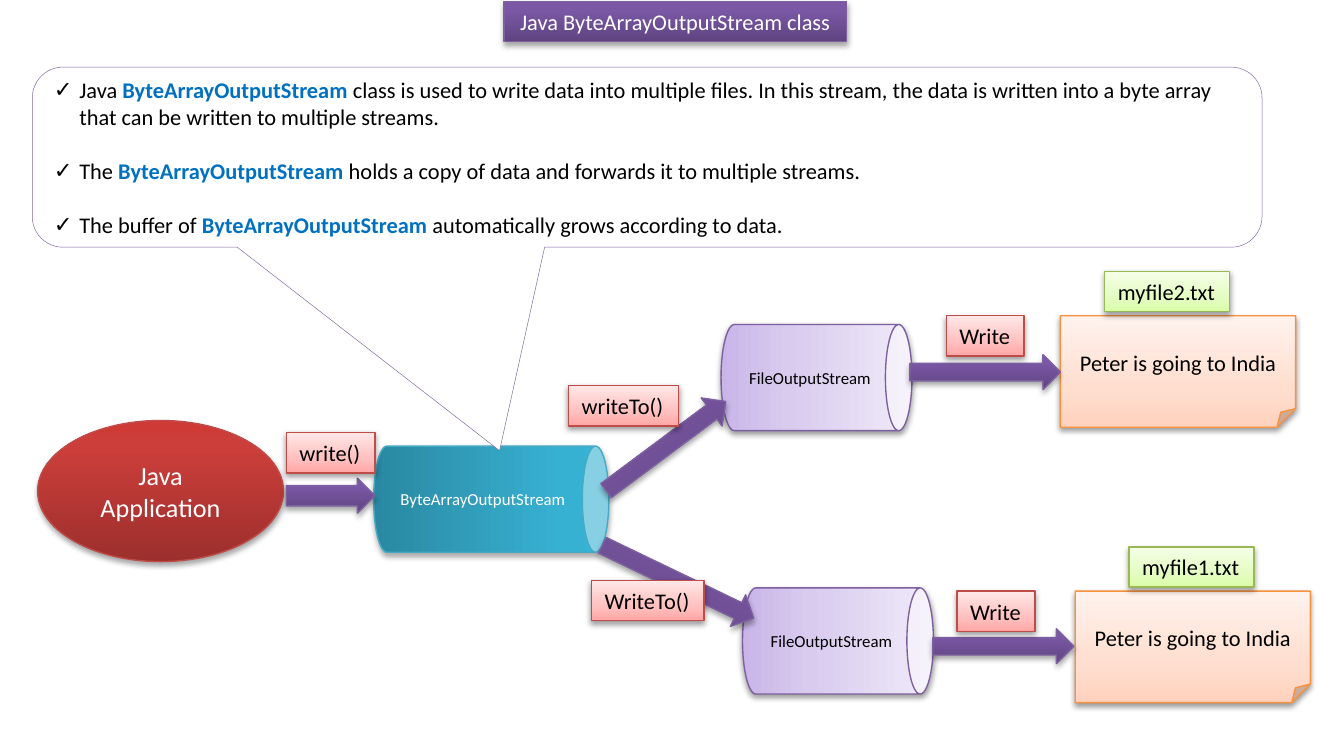
"""Builds a slide on how Java ByteArrayOutputStream feeds several files."""
from copy import deepcopy

from lxml import etree
from pptx import Presentation
from pptx.dml.color import RGBColor
from pptx.enum.shapes import MSO_SHAPE
from pptx.enum.text import MSO_ANCHOR, MSO_AUTO_SIZE, PP_ALIGN
from pptx.oxml.ns import qn
from pptx.util import Pt

PX = 9144
FONT = "Calibri"
LEFT, CENTER = PP_ALIGN.LEFT, PP_ALIGN.CENTER
MIDDLE = MSO_ANCHOR.MIDDLE
FIXED = MSO_AUTO_SIZE.NONE
RECT, ELLIPSE, CAN = MSO_SHAPE.RECTANGLE, MSO_SHAPE.OVAL, MSO_SHAPE.CAN
ARROW, NOTE = MSO_SHAPE.RIGHT_ARROW, MSO_SHAPE.FOLDED_CORNER
CALLOUT = MSO_SHAPE.ROUNDED_RECTANGULAR_CALLOUT

COLORS = {
    "white": "FFFFFF", "black": "000000", "keyword": "0070C0", "callout line": "8064A2",
    "purple 1": "5F4480", "purple 2": "7B58A6", "purple 3": "7C57A8", "purple line": "7D60A0",
    "red 1": "9C2F2D", "red 2": "CB3E3A", "red 3": "CE3B37", "red line": "BF4C48",
    "teal 1": "2A88A2", "teal 2": "37B1D2", "teal 3": "34B4D6", "teal line": "46AAC5",
    "peach 1": "FFD2BD", "peach 2": "FFDED0", "peach 3": "FFF2ED", "peach line": "F69240",
    "lime 1": "DAFDA7", "lime 2": "E4FCC2", "lime 3": "F5FFE7", "lime line": "98B955",
    "pink 1": "FFA6A5", "pink 2": "FFC0BF", "pink 3": "FFE7E7", "pink line": "BF4C48",
    "lilac 1": "C9B5E8", "lilac 2": "D8CBEE", "lilac 3": "F0EAF9", "lilac line": "7D60A0",
}
INTENSE = ("purple", "red", "teal")

KEYWORD = "ByteArrayOutputStream"
FACTS = [
    ("Java ", " class is used to write data into multiple files. In this stream, "
              "the data is written into a byte array that can be written to multiple streams."),
    ("The ", " holds a copy of data and forwards it to multiple streams."),
    ("The buffer of ", " automatically grows according to data."),
]
BRANCHES = [
    {"stream": (584, 406), "flow": (694, 468, 105), "write": (712, 440),
     "note": (800, 440), "file": (840, 407), "name": "myfile1.txt"},
    {"stream": (568, 210), "flow": (677, 264, 112), "write": (704, 235),
     "note": (789, 235), "file": (822, 202), "name": "myfile2.txt"},
]


def rgb(name):
    return RGBColor.from_string(COLORS[name])


def write(paragraph, text, size=12, color="black", bold=False, align=LEFT):
    paragraph.alignment = align
    run = paragraph.add_run()
    run.text = text
    run.font.name, run.font.size, run.font.bold = FONT, Pt(size), bold
    run.font.color.rgb = rgb(color)


class Diagram:
    """Holds the current slide and the shared look of its elements."""

    def __init__(self, slide):
        self.slide = slide

    def place(self, shape, box):
        shape.left, shape.top, shape.width, shape.height = (n * PX for n in box)

    def paint(self, shape, theme):
        intense = theme in INTENSE
        shape.fill.gradient()
        shape.fill.gradient_angle = 90
        stops = shape.element.spPr.find(".//" + qn("a:gsLst"))
        stops.insert(1, deepcopy(stops[0]))
        positions = (0, 0.8 if intense else 0.35, 1)
        for number, (stop, position) in enumerate(zip(shape.fill.gradient_stops, positions), 1):
            stop.color.rgb = rgb(f"{theme} {number}")
            stop.position = position
        shape.line.color.rgb = rgb(f"{theme} line")
        shape.line.width = Pt(0.75)
        shape.shadow.inherit = False
        effects = shape.element.spPr.find(qn("a:effectLst"))
        shadow = etree.SubElement(effects, qn("a:outerShdw"), blurRad="40000",
                                  dist="23000" if intense else "20000",
                                  dir="5400000", rotWithShape="0")
        tint = etree.SubElement(shadow, qn("a:srgbClr"), val=COLORS["black"])
        etree.SubElement(tint, qn("a:alpha"), val="35000" if intense else "38000")

    def shape(self, kind, box, theme, text="", turn=0, wrap=True, **style):
        shape = self.slide.shapes.add_shape(kind, *(n * PX for n in box))
        shape.rotation = turn
        self.paint(shape, theme)
        if text:
            shape.text_frame.word_wrap = wrap
            shape.text_frame.vertical_anchor = MIDDLE
            write(shape.text_frame.paragraphs[0], text, **style)
        return shape

    def title(self, text, box):
        heading = self.slide.shapes.title
        self.place(heading, box)
        self.paint(heading, "purple")
        heading.text_frame.auto_size = FIXED
        write(heading.text_frame.paragraphs[0], text, color="white", align=CENTER)

    def label(self, text, x, y, width, theme="pink"):
        self.shape(RECT, (x, y, width, 30), theme, text, wrap=False)

    def arrow(self, x, y, length, turn=0):
        return self.shape(ARROW, (x, y, length, 26), "purple", turn=turn)

    def cylinder(self, text, x, y, length, theme, color):
        can = self.shape(CAN, (x, y, 79, length), theme, text, turn=90,
                         size=9, color=color, align=CENTER)
        can.element.find(".//" + qn("a:bodyPr")).set("vert", "vert270")

    def callout(self, box):
        bubble = self.slide.shapes.add_shape(CALLOUT, *(n * PX for n in box))
        for index, value in enumerate((-0.12, 1.63, 0.17)):
            bubble.adjustments[index] = value
        bubble.fill.solid()
        bubble.fill.fore_color.rgb = rgb("white")
        bubble.line.color.rgb = rgb("callout line")
        bubble.line.width = Pt(0.25)
        bubble.shadow.inherit = False

    def facts(self, box):
        body = self.slide.placeholders[1]
        body.element.getparent().append(body.element)
        self.place(body, box)
        frame = body.text_frame
        frame.auto_size, frame.vertical_anchor = FIXED, MIDDLE
        for index, (before, after) in enumerate(FACTS):
            fact = frame.add_paragraph() if index else frame.paragraphs[0]
            layout = fact._p.get_or_add_pPr()
            layout.set("marL", str(19 * PX))
            layout.set("indent", str(-19 * PX))
            etree.SubElement(layout, qn("a:buChar"), char="✓")
            fact.space_before = Pt(14.6 if index else 0)
            write(fact, before)
            write(fact, KEYWORD, color="keyword", bold=True)
            write(fact, after)


def main():
    deck = Presentation()
    deck.slide_width, deck.slide_height = 1000 * PX, 550 * PX
    diagram = Diagram(deck.slides.add_slide(deck.slide_layouts[1]))
    diagram.title("Java ByteArrayOutputStream class", (375, 1, 255, 30))

    diagram.shape(ELLIPSE, (28, 313, 183, 105), "red", "Java Application",
                  size=14, color="white", align=CENTER)
    diagram.cylinder(KEYWORD + " ", 326, 284, 175, "teal", "white")
    diagram.arrow(213, 356, 66).adjustments[0] = 0.58
    diagram.label("write()", 213, 322, 66)

    for branch in BRANCHES:
        diagram.cylinder("FileOutputStream ", *branch["stream"], 142, "lilac", "black")
        diagram.shape(NOTE, (*branch["note"], 175, 83), "peach",
                      "Peter is going to India", align=CENTER)
        diagram.label(branch["name"], *branch["file"], 93, "lime")
        diagram.arrow(*branch["flow"])
        diagram.label("Write", *branch["write"], 58)

    diagram.arrow(440, 319, 111, turn=323.3)
    diagram.arrow(442, 420, 125, turn=25.7)
    diagram.label("WriteTo()", 440, 432, 84)
    diagram.label("writeTo()", 423, 287, 82)

    diagram.callout((24, 50, 915, 134))
    diagram.facts((30, 50, 903, 134))
    deck.save("out.pptx")


if __name__ == "__main__":
    main()
